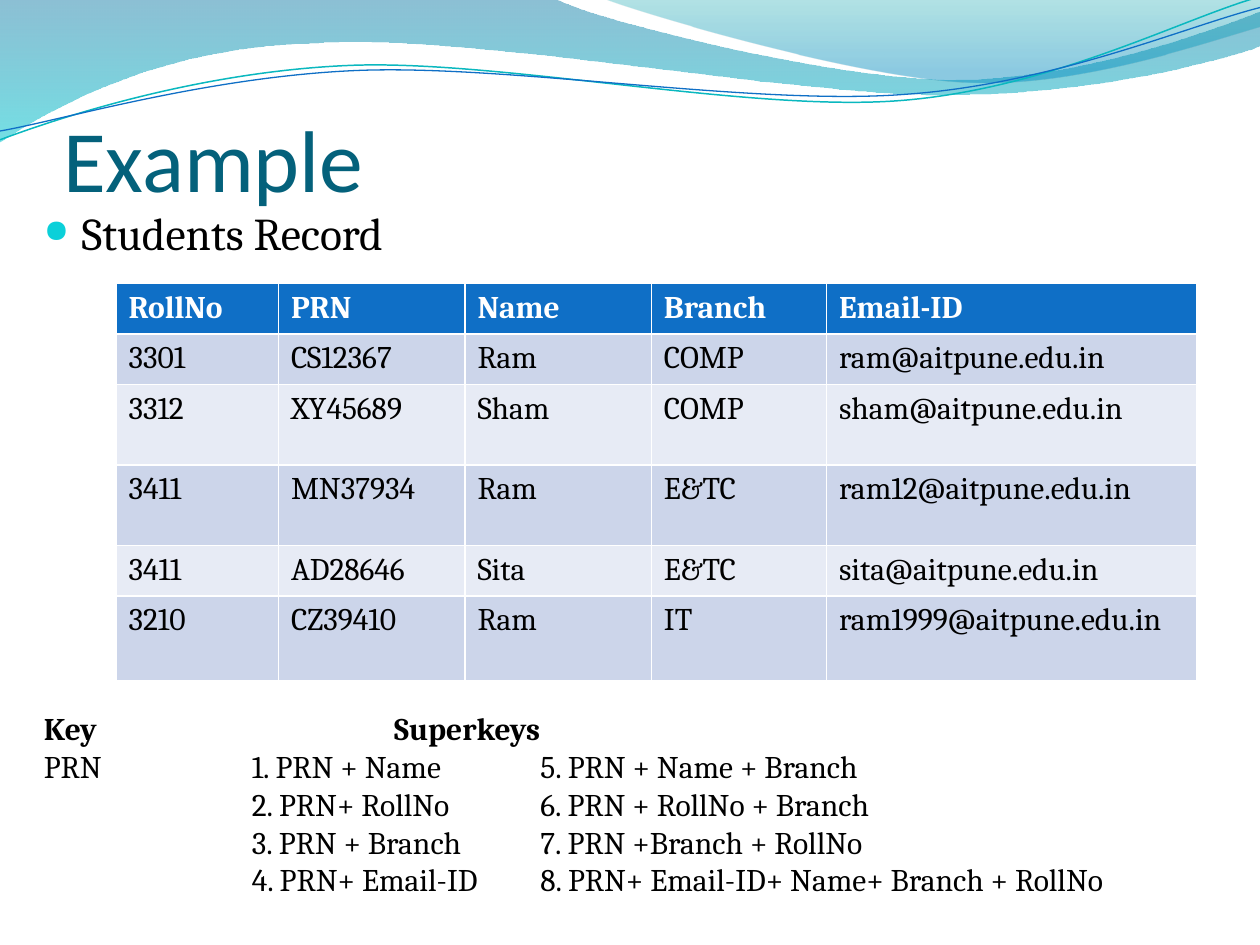
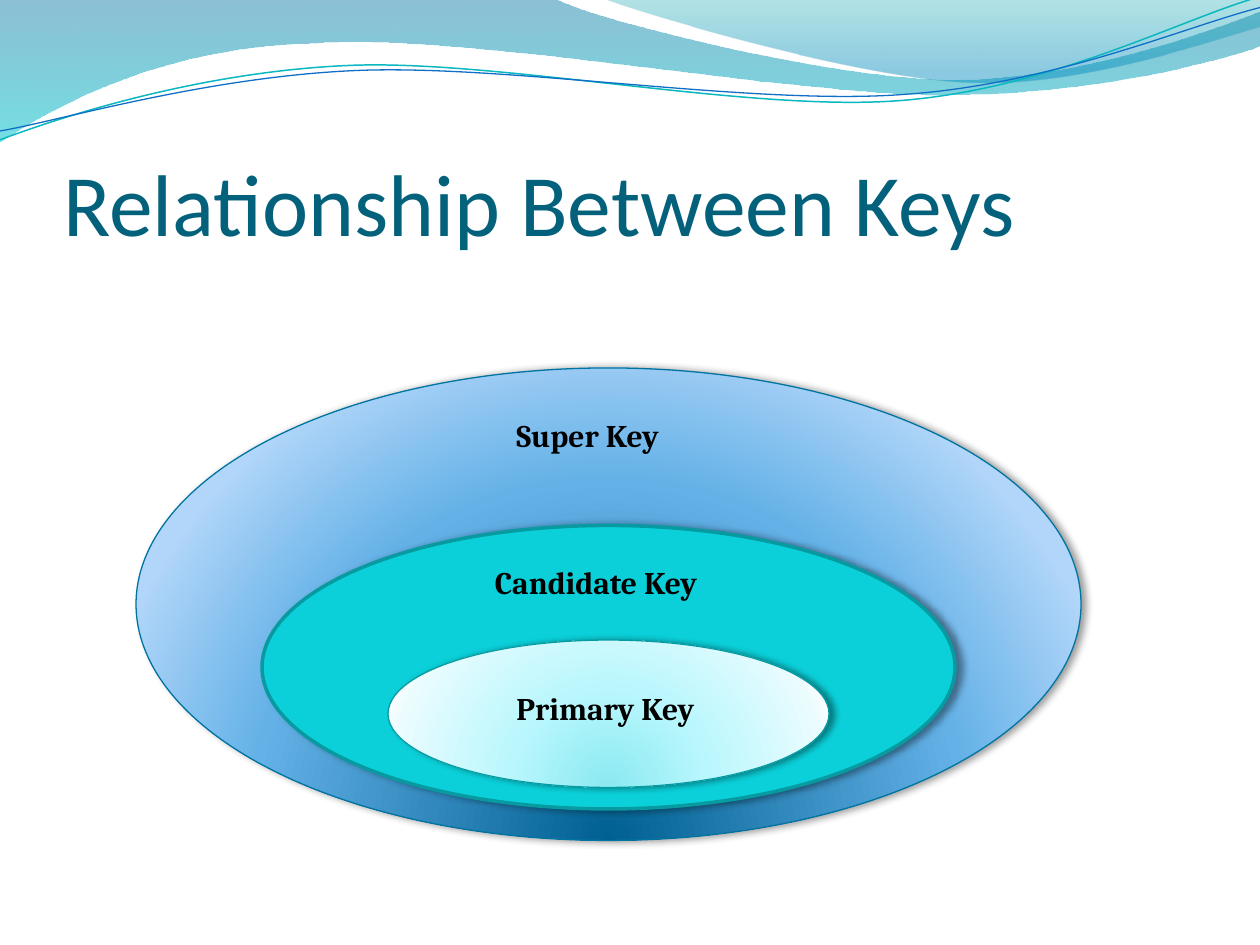
from dataclasses import dataclass
from typing import Optional

from lxml import etree
from pptx import Presentation
from pptx import oxml
from pptx.dml.color import RGBColor
from pptx.enum import shapes, text
from pptx.oxml import ns
from pptx.util import Inches, Pt

BLACK = RGBColor(0x00, 0x00, 0x00)
WHITE = RGBColor(0xFF, 0xFF, 0xFF)
TITLE_TEAL = RGBColor(0x04, 0x61, 0x7B)
BLUE = RGBColor(0x0F, 0x6F, 0xC6)
CYAN = RGBColor(0x0B, 0xD0, 0xD9)
WAVE_TEAL = RGBColor(0x0A, 0xB8, 0xBF)
ROW_DARK = RGBColor(0xCC, 0xD5, 0xEA)
ROW_LIGHT = RGBColor(0xE7, 0xEB, 0xF5)
SUPER_EDGE = RGBColor(0x00, 0x74, 0xA1)
CANDIDATE_EDGE = RGBColor(0x08, 0x9A, 0xA1)
PRIMARY_EDGE = RGBColor(0x06, 0x9C, 0xA3)

HEADING = {"name": "Calibri", "size": Pt(50)}
BULLET = {"name": "Cambria", "size": Pt(26)}
REGULAR = {"name": "Cambria", "size": Pt(18), "bold": False}
BOLD = REGULAR | {"bold": True}

DOWNWARD = '<a:lin ang="5400000" scaled="0"/>'
FROM_BELOW = ('<a:path path="circle"><a:fillToRect l="50000" t="130000" '
              'r="50000" b="-30000"/></a:path>')


@dataclass(frozen=True)
class Stop:
    position: int
    color: str
    opacity: int = 100


@dataclass(frozen=True)
class Wave:
    """Steps hold one point for a straight line, three for a cubic curve."""
    start: tuple
    steps: list
    stops: tuple = ()
    color: Optional[RGBColor] = None
    width: float = 0


@dataclass(frozen=True)
class KeySet:
    label: str
    oval: tuple
    label_box: tuple
    edge: RGBColor
    edge_width: float
    stops: tuple = ()


WAVES = [
    Wave((0, 0), [
        [(4.4, -0.01)],
        [(4.76, 0.17), (6.64, 0.63), (7.58, 0.63)],
        [(8.53, 0.63), (9.58, 0.26), (10, 0.09)],
        [(10.01, 0.36)],
        [(9.83, 0.44), (8.7, 0.76), (7.46, 0.75)],
        [(6.22, 0.75), (3.82, 0.28), (2.57, 0.34)],
        [(1.29, 0.36), (0.46, 0.83), (-0.01, 1.13)],
        [(0, 0)],
    ], (Stop(0, "0074A1", 45), Stop(100, "00C6CF", 55))),
    Wave((4.79, -0.01), [
        [(5.09, 0.11), (6.82, 0.62), (7.69, 0.65)],
        [(8.56, 0.69), (9.61, 0.32), (10, 0.21)],
        [(10, 0)],
        [(4.79, -0.01)],
    ], (Stop(0, "00A1A9", 30), Stop(80, "008BBF", 45))),
    Wave((0, 1.11), [
        [(0.48, 0.93), (1.58, 0.57), (2.77, 0.52)],
        [(3.95, 0.47), (5.93, 0.89), (7.13, 0.8)],
        [(8.33, 0.71), (9.38, 0.15), (9.98, -0.02)],
    ], color=WAVE_TEAL, width=0.85),
    Wave((0, 1.04), [
        [(0.47, 0.96), (1.64, 0.61), (2.83, 0.56)],
        [(4.03, 0.51), (5.97, 0.84), (7.17, 0.75)],
        [(8.36, 0.67), (9.41, 0.21), (10, 0.06)],
    ], color=BLUE, width=0.75),
]

STUDENTS = [
    ("RollNo", "PRN", "Name", "Branch", "Email-ID"),
    ("3301", "CS12367", "Ram", "COMP", "ram@aitpune.edu.in"),
    ("3312", "XY45689", "Sham", "COMP", "sham@aitpune.edu.in"),
    ("3411", "MN37934", "Ram", "E&TC", "ram12@aitpune.edu.in"),
    ("3411", "AD28646", "Sita", "E&TC", "sita@aitpune.edu.in"),
    ("3210", "CZ39410", "Ram", "IT", "ram1999@aitpune.edu.in"),
]
COLUMN_WIDTHS = (1.29, 1.48, 1.48, 1.39, 2.94)
ROW_HEIGHTS = (0.38, 0.38, 0.64, 0.64, 0.38, 0.67)

KEY_LINES = [
    "Key\tSuperkeys",
    "PRN\t1. PRN + Name\t5. PRN + Name + Branch",
    "\t2. PRN+ RollNo\t6. PRN + RollNo + Branch",
    "\t3. PRN + Branch\t7. PRN +Branch + RollNo",
    "\t4. PRN+ Email-ID\t8. PRN+ Email-ID+ Name+ Branch + RollNo",
]
HEADING_TABS = (2.78,)
LIST_TABS = (1.65, 3.94)

KEY_SETS = [
    KeySet("Super Key", (1.08, 2.92, 7.5, 3.75), (4, 3.25, 2, 0.4), SUPER_EDGE, 0.75,
           (Stop(0, "006091"), Stop(68, "64B1E7"), Stop(100, "B1D6F9"))),
    KeySet("Candidate Key", (2.08, 4.17, 5.5, 2.25), (3.83, 4.42, 2, 0.4),
           CANDIDATE_EDGE, 2),
    KeySet("Primary Key", (3.08, 5.08, 3.5, 1.17), (4, 5.42, 1.75, 0.4), PRIMARY_EDGE, 0.75,
           (Stop(0, "8BE9F1"), Stop(43, "B9F7FD"), Stop(93, "EAFCFE"), Stop(100, "F8FEFF"))),
]


def inches(values) -> list:
    return [Inches(value) for value in values]


def drawing_xml(markup: str):
    """Parse one element whose root tag is in the a: namespace."""
    head, rest = markup.split(">", 1)
    slash = "/" if head.endswith("/") else ""
    return oxml.parse_xml(f'{head.rstrip("/")} {ns.nsdecls("a")}{slash}>{rest}')


def style_font(font, look: dict, color: RGBColor) -> None:
    for attribute, value in look.items():
        setattr(font, attribute, value)
    font.color.rgb = color


def fill_gradient(shape, stops: tuple, direction: str) -> None:
    shape.fill.background()
    marks = "".join(
        f'<a:gs pos="{stop.position * 1000}"><a:srgbClr val="{stop.color}">'
        f'<a:alpha val="{stop.opacity * 1000}"/></a:srgbClr></a:gs>' for stop in stops)
    properties = shape.element.spPr
    properties.replace(
        properties.find(ns.qn("a:noFill")),
        drawing_xml(f"<a:gradFill><a:gsLst>{marks}</a:gsLst>{direction}</a:gradFill>"))


def bend_curves(shape, steps: list) -> None:
    """Join the three segments of each curved step into one cubic curve."""
    segments = iter(list(shape.element.iter(ns.qn("a:lnTo"))))
    for step in steps:
        corners = [next(segments) for _ in step]
        if len(corners) == 3:
            curve = drawing_xml("<a:cubicBezTo/>")
            corners[0].addprevious(curve)
            for corner in corners:
                curve.append(corner[0])
                corner.getparent().remove(corner)


def draw_wave(slide, wave: Wave):
    builder = slide.shapes.build_freeform(*inches(wave.start))
    builder.add_line_segments([inches(point) for step in wave.steps for point in step],
                              close=bool(wave.stops))
    shape = builder.convert_to_shape()
    bend_curves(shape, wave.steps)
    shape.shadow.inherit = False
    if wave.stops:
        fill_gradient(shape, wave.stops, DOWNWARD)
        shape.line.fill.background()
    else:
        shape.fill.background()
        shape.line.color.rgb = wave.color
        shape.line.width = Pt(wave.width)
    return shape


def put_waves_on_layout(slide) -> None:
    """Draw the wave band once and hand it to the layout behind its title."""
    layout = slide.slide_layout
    for footer in list(layout.placeholders)[1:]:
        footer.element.getparent().remove(footer.element)
    for order, wave in enumerate(WAVES, start=2):
        layout.shapes.element.insert(order, draw_wave(slide, wave).element)


def set_title(slide, wording: str, height: float) -> None:
    title = slide.shapes.title
    title.left, title.top, title.width, title.height = inches((0.5, 0.77, 9, height))
    frame = title.text_frame
    frame.text = wording
    settings = {"margin_left": 0, "margin_right": 0, "margin_top": Inches(0.05),
                "margin_bottom": 0, "vertical_anchor": text.MSO_ANCHOR.BOTTOM,
                "auto_size": text.MSO_AUTO_SIZE.NONE, "word_wrap": True}
    for attribute, value in settings.items():
        setattr(frame, attribute, value)
    heading = frame.paragraphs[0]
    heading.alignment = text.PP_ALIGN.LEFT
    style_font(heading.runs[0].font, HEADING, TITLE_TEAL)


def add_text(slide, box: tuple, wording: str, look: dict):
    frame = slide.shapes.add_textbox(*inches(box)).text_frame
    frame.word_wrap = True
    frame.text = wording
    for paragraph in frame.paragraphs:
        for run in paragraph.runs:
            style_font(run.font, look, BLACK)
    return frame


def add_bullet(paragraph) -> None:
    properties = paragraph._p.get_or_add_pPr()
    properties.set("marL", str(Inches(0.3)))
    properties.set("indent", str(-Inches(0.3)))
    for markup in (f'<a:buClr><a:srgbClr val="{CYAN}"/></a:buClr>',
                   '<a:buSzPct val="70000"/>', '<a:buChar char="●"/>'):
        properties.append(drawing_xml(markup))


def set_tabs(paragraph, stops: tuple) -> None:
    tabs = etree.SubElement(paragraph._p.get_or_add_pPr(), ns.qn("a:tabLst"))
    for stop in stops:
        etree.SubElement(tabs, ns.qn("a:tab"), pos=str(Inches(stop)), algn="l")


def add_student_table(slide) -> None:
    table = slide.shapes.add_table(
        len(STUDENTS), len(COLUMN_WIDTHS), *inches((0.92, 2.25)),
        *inches((sum(COLUMN_WIDTHS), sum(ROW_HEIGHTS)))).table
    for column, width in zip(table.columns, COLUMN_WIDTHS):
        column.width = Inches(width)
    for index, (row, height, record) in enumerate(zip(table.rows, ROW_HEIGHTS, STUDENTS)):
        row.height = Inches(height)
        header = index == 0
        for cell, value in zip(row.cells, record):
            cell.text = value
            style_font(cell.text_frame.paragraphs[0].runs[0].font,
                       BOLD if header else REGULAR, WHITE if header else BLACK)
            cell.fill.solid()
            cell.fill.fore_color.rgb = BLUE if header else ROW_DARK if index % 2 else ROW_LIGHT


def draw_oval(slide, key_set: KeySet) -> None:
    oval = slide.shapes.add_shape(shapes.MSO_SHAPE.OVAL, *inches(key_set.oval))
    if key_set.stops:
        fill_gradient(oval, key_set.stops, FROM_BELOW)
    else:
        oval.fill.solid()
        oval.fill.fore_color.rgb = CYAN
    oval.line.color.rgb = key_set.edge
    oval.line.width = Pt(key_set.edge_width)
    oval.shadow.inherit = False
    oval.element.spPr.find(ns.qn("a:effectLst")).append(drawing_xml(
        f'<a:outerShdw blurRad="{Pt(4)}" dist="{Pt(3)}" dir="0" rotWithShape="0">'
        f'<a:srgbClr val="{BLACK}"><a:alpha val="40000"/></a:srgbClr></a:outerShdw>'))


def build_example(slide) -> None:
    set_title(slide, "Example", 0.9)
    record = add_text(slide, (0.25, 1.58, 9.25, 5.33), "Students Record", BULLET)
    add_bullet(record.paragraphs[0])
    add_student_table(slide)
    keys = add_text(slide, (0.25, 5.58, 9.75, 1.92), "\n".join(KEY_LINES), REGULAR)
    for index, line in enumerate(keys.paragraphs):
        set_tabs(line, LIST_TABS if index else HEADING_TABS)
    for run in keys.paragraphs[0].runs:
        run.font.bold = True


def build_relationship(slide) -> None:
    set_title(slide, "Relationship Between Keys", 1.25)
    for key_set in KEY_SETS:
        draw_oval(slide, key_set)
    for key_set in reversed(KEY_SETS):
        add_text(slide, key_set.label_box, key_set.label, BOLD)


def main() -> None:
    deck = Presentation()
    deck.slide_width, deck.slide_height = inches((10, 7.5))
    title_only = deck.slide_layouts[5]
    example, relationship = (deck.slides.add_slide(title_only) for _ in range(2))
    put_waves_on_layout(example)
    build_example(example)
    build_relationship(relationship)
    deck.save("out.pptx")


if __name__ == "__main__":
    main()
